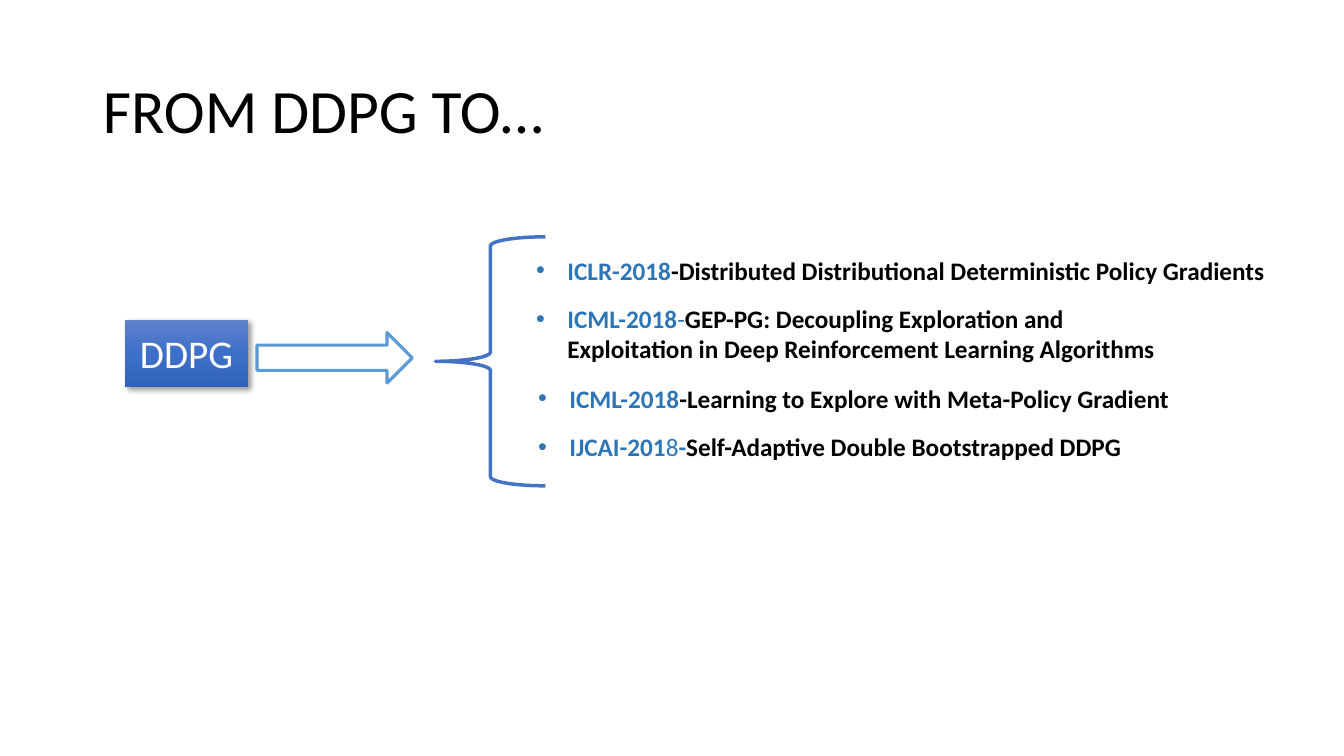
from dataclasses import dataclass

from lxml.etree import SubElement
from pptx import Presentation
from pptx.dml.color import RGBColor
from pptx.enum.shapes import MSO_SHAPE
from pptx.enum.text import MSO_ANCHOR, PP_ALIGN
from pptx.oxml import parse_xml
from pptx.oxml.ns import nsdecls, qn
from pptx.util import Inches, Pt


@dataclass(frozen=True)
class Theme:
    font: str = "Calibri"
    black: str = "000000"
    white: str = "FFFFFF"
    accent: str = "2E75B6"
    arrow: str = "5B9BD5"
    brace: str = "4472C4"
    gradient: tuple = ((0, "6183CB"), (50, "3E70CA"), (100, "3062BB"))
    title_size: int = 44
    label_size: int = 28
    list_size: int = 18


@dataclass(frozen=True)
class Box:
    column: float
    row: float
    columns: float
    rows: float

    def inner(self, column, row, columns, rows):
        return Box(self.column + column, self.row + row, columns, rows)

    def lengths(self):
        return [Inches(cells * CELL) for cells in (self.column, self.row, self.columns, self.rows)]


THEME = Theme()
CELL = 0.1
SLIDE_COLUMNS, SLIDE_ROWS = 133.33, 75
INDENT = 3.1
LINE_ROWS = {1: 4, 2: 7.1}
ENTRY_GAP = 0.8

PAPERS = [
    (0, 77.8, 1, [("ICLR-2018", THEME.accent, True),
                  ("-Distributed Distributional Deterministic Policy Gradients", THEME.black, True)]),
    (0, 66.7, 2, [("ICML-2018", THEME.accent, True), ("-", THEME.accent, False),
                  ("GEP-PG: Decoupling Exploration and Exploitation in Deep "
                   "Reinforcement Learning Algorithms", THEME.black, True)]),
    (0.2, 65.3, 1, [("ICML-2018", THEME.accent, True),
                    ("-Learning to Explore with Meta-Policy Gradient", THEME.black, True)]),
    (0.2, 61.3, 1, [("IJCAI-201", THEME.accent, True), ("8", THEME.accent, False),
                    ("-", THEME.accent, True),
                    ("Self-Adaptive Double Bootstrapped DDPG", THEME.black, True)]),
]


def apply_format(target, values):
    for name, value in values.items():
        setattr(target, name, value)


def add_run(paragraph, text, size, color, bold=False):
    run = paragraph.add_run()
    run.text = text
    apply_format(run.font, {"name": THEME.font, "size": Pt(size), "bold": bold})
    run.font.color.rgb = RGBColor.from_string(color)


def add_outline(slide, preset, box, color, width, fill=None):
    shape = slide.shapes.add_shape(preset, *box.lengths())
    if fill:
        shape.fill.solid()
        shape.fill.fore_color.rgb = RGBColor.from_string(fill)
    else:
        shape.fill.background()
    shape.line.color.rgb = RGBColor.from_string(color)
    shape.line.width = Pt(width)
    shape.shadow.inherit = False


def add_gradient(shape):
    stops = "".join(
        f'<a:gs pos="{position * 1000}"><a:srgbClr val="{color}"/></a:gs>'
        for position, color in THEME.gradient
    )
    gradient = parse_xml(
        f'<a:gradFill {nsdecls("a")} rotWithShape="1"><a:gsLst>{stops}</a:gsLst>'
        '<a:lin ang="5400000" scaled="0"/></a:gradFill>'
    )
    shape.element.spPr.find(qn("a:prstGeom")).addnext(gradient)


def add_shadow(shape):
    shape.shadow.inherit = False
    effects = shape.element.spPr.find(qn("a:effectLst"))
    shadow = SubElement(effects, qn("a:outerShdw"), blurRad=str(Pt(4)), dist=str(Pt(3)),
                        dir="2700000", algn="tl", rotWithShape="0")
    color = SubElement(shadow, qn("a:srgbClr"), val=THEME.black)
    SubElement(color, qn("a:alpha"), val="40000")


def add_bullet(paragraph):
    properties = paragraph._p.get_or_add_pPr()
    indent = Inches(INDENT * CELL)
    properties.set("marL", str(indent))
    properties.set("indent", str(-indent))
    SubElement(properties, qn("a:buFont"), typeface="Arial")
    SubElement(properties, qn("a:buChar"), char="•")


def build_title(slide, box):
    title = slide.shapes.title
    apply_format(title, dict(zip(("left", "top", "width", "height"), box.lengths())))
    apply_format(title.text_frame, {"vertical_anchor": MSO_ANCHOR.MIDDLE, "word_wrap": True})
    paragraph = title.text_frame.paragraphs[0]
    apply_format(paragraph, {"alignment": PP_ALIGN.LEFT, "line_spacing": 0.9})
    add_run(paragraph, "FROM DDPG TO…", THEME.title_size, THEME.black)


def build_source(slide, box):
    label = slide.shapes.add_shape(MSO_SHAPE.RECTANGLE, *box.inner(0, 8.2, 12.2, 6.7).lengths())
    label.line.fill.background()
    add_gradient(label)
    add_shadow(label)
    apply_format(label.text_frame, {"vertical_anchor": MSO_ANCHOR.MIDDLE, "word_wrap": True})
    paragraph = label.text_frame.paragraphs[0]
    paragraph.alignment = PP_ALIGN.CENTER
    add_run(paragraph, "DDPG", THEME.label_size, THEME.white)

    add_outline(slide, MSO_SHAPE.RIGHT_ARROW, box.inner(13.1, 9.5, 15.4, 5),
                THEME.arrow, 2.25, THEME.white)
    add_outline(slide, MSO_SHAPE.LEFT_BRACE, box.inner(30.8, 0, 10.9, box.rows),
                THEME.brace, 2.5)


def build_papers(slide, box):
    row = 0
    for shift, columns, lines, runs in PAPERS:
        entry = box.inner(shift, row, columns, LINE_ROWS[lines])
        frame = slide.shapes.add_textbox(*entry.lengths()).text_frame
        frame.word_wrap = True
        paragraph = frame.paragraphs[0]
        add_bullet(paragraph)
        for text, color, bold in runs:
            add_run(paragraph, text, THEME.list_size, color, bold)
        row += entry.rows + ENTRY_GAP


def main():
    presentation = Presentation()
    apply_format(presentation, {"slide_width": Inches(SLIDE_COLUMNS * CELL),
                                "slide_height": Inches(SLIDE_ROWS * CELL)})
    slide = presentation.slides.add_slide(presentation.slide_layouts.get_by_name("Title Only"))
    build_title(slide, Box(9.2, 4, 63.3, 14.5))
    build_source(slide, Box(12.4, 23.5, 41.7, 24.7))
    build_papers(slide, Box(52.2, 24.8, 77.8, 21.5))
    presentation.save("out.pptx")


if __name__ == "__main__":
    main()
